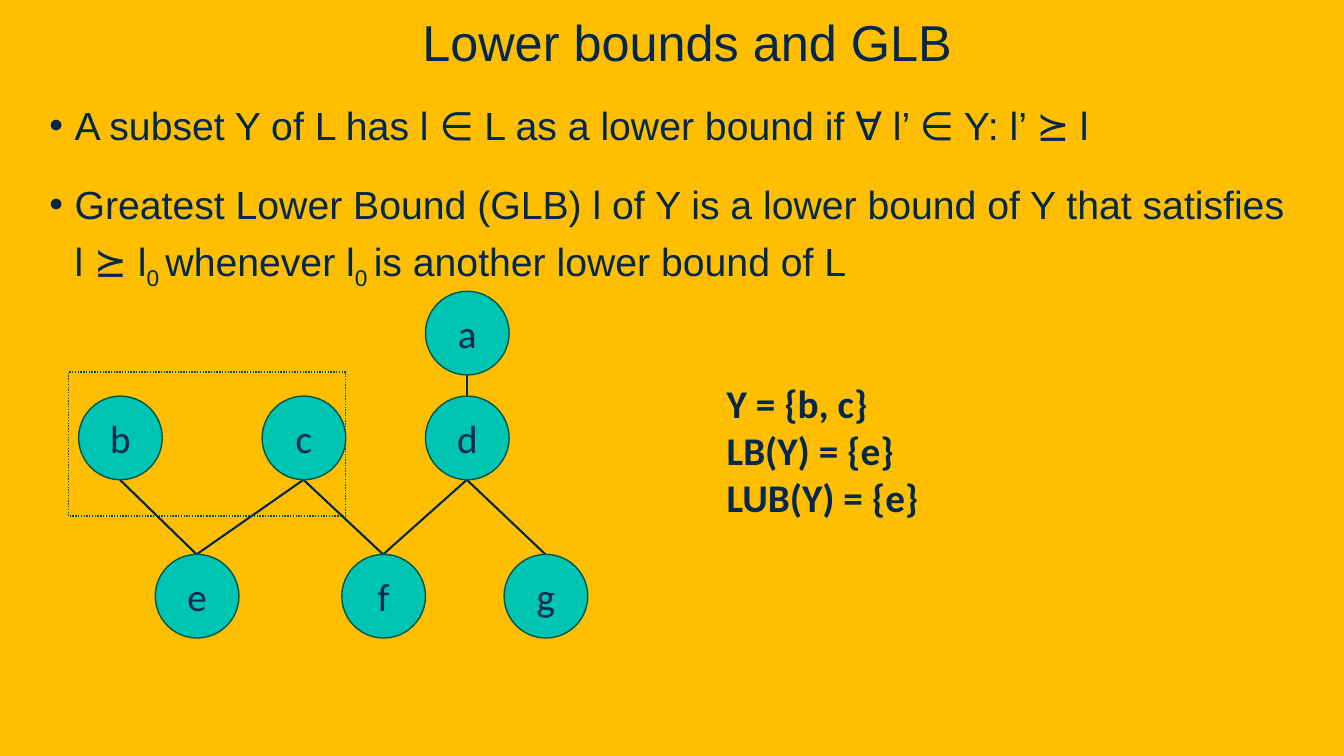
import pptx
import pptx.dml.color
import pptx.enum.dml
import pptx.enum.shapes
import pptx.enum.text
import pptx.oxml
import pptx.oxml.ns
import pptx.util

PX = 9144  # 100 px to the inch
INK, NODE, EDGE, BACKGROUND = "022850", "00C4B2", "00564E", "FFBE00"
ALIGN = pptx.enum.text.PP_ALIGN
ANCHOR = pptx.enum.text.MSO_ANCHOR
AUTO_SIZE = pptx.enum.text.MSO_AUTO_SIZE
SHAPE = pptx.enum.shapes.MSO_SHAPE


def px(length):
    return pptx.util.Emu(length * PX)


def color(value):
    return pptx.dml.color.RGBColor.from_string(value)


def apply(target, formats):
    for name, value in formats.items():
        setattr(target, name, value)


class SlideBuilder:
    def __init__(self, slide):
        self.slide = slide
        self.diagram = slide.shapes.add_group_shape()
        slide.background.fill.solid()
        slide.background.fill.fore_color.rgb = color(BACKGROUND)

    def style_run(self, run, size, font="Arial", bold=False):
        apply(run.font, {"name": font, "size": pptx.util.Pt(size), "bold": bold})
        run.font.color.rgb = color(INK)

    def placeholder(self, index, box, anchor):
        shape = self.slide.placeholders[index]
        apply(shape, dict(zip(("left", "top", "width", "height"), map(px, box))))
        apply(shape.text_frame, {"auto_size": AUTO_SIZE.NONE, "word_wrap": True,
                                 "vertical_anchor": anchor})
        return shape.text_frame

    def indent(self, paragraph, left, first):
        properties = paragraph._p.get_or_add_pPr()
        properties.set("marL", str(px(left)))
        properties.set("indent", str(px(first)))
        return properties

    def title(self, text, box):
        paragraph = self.placeholder(0, box, ANCHOR.BOTTOM).paragraphs[0]
        apply(paragraph, {"text": text, "alignment": ALIGN.CENTER,
                          "space_before": pptx.util.Pt(25)})
        self.indent(paragraph, 30, 0)
        self.style_run(paragraph.runs[0], 36)

    def bullets(self, items, box):
        """Each item is a list of pieces; every second piece is a subscript."""
        frame = self.placeholder(1, box, ANCHOR.TOP)
        for number, pieces in enumerate(items):
            paragraph = frame.add_paragraph() if number else frame.paragraphs[0]
            apply(paragraph, {"line_spacing": 1.2, "space_before": pptx.util.Pt(10),
                              "space_after": pptx.util.Pt(6)})
            properties = self.indent(paragraph, 25, -25)
            properties.append(pptx.oxml.parse_xml(
                f'<a:buChar {pptx.oxml.ns.nsdecls("a")} char="•"/>'))
            for position, piece in enumerate(pieces):
                run = paragraph.add_run()
                run.text = piece
                self.style_run(run, 28)
                if position % 2:
                    run._r.get_or_add_rPr().set("baseline", "-25000")

    def outline(self, shape):
        shape.shadow.inherit = False
        shape.line.color.rgb = color(EDGE)
        shape.line.width = pptx.util.Pt(1)

    def node(self, label, left, top, size):
        shape = self.diagram.shapes.add_shape(SHAPE.OVAL, *map(px, (left, top, size, size)))
        self.outline(shape)
        shape.fill.solid()
        shape.fill.fore_color.rgb = color(NODE)
        shape.text_frame.vertical_anchor = ANCHOR.MIDDLE
        paragraph = shape.text_frame.paragraphs[0]
        apply(paragraph, {"text": label, "alignment": ALIGN.CENTER})
        self.style_run(paragraph.runs[0], 28, "Calibri")

    def edge(self, *ends):
        line = self.diagram.shapes.add_connector(
            pptx.enum.shapes.MSO_CONNECTOR.STRAIGHT, *map(px, ends))
        line.line.color.rgb = color(INK)
        line.line.width = pptx.util.Pt(1.5)
        line._element.spPr.append(pptx.oxml.parse_xml(
            f'<a:effectLst {pptx.oxml.ns.nsdecls("a")}/>'))

    def dotted_frame(self, *box):
        shape = self.slide.shapes.add_shape(SHAPE.RECTANGLE, *map(px, box))
        self.outline(shape)
        shape.fill.background()
        shape.line.dash_style = pptx.enum.dml.MSO_LINE.ROUND_DOT

    def note(self, text, *box):
        frame = self.slide.shapes.add_textbox(*map(px, box)).text_frame
        apply(frame, {"word_wrap": False, "auto_size": AUTO_SIZE.SHAPE_TO_FIT_TEXT})
        paragraph = frame.paragraphs[0]
        paragraph.text = text
        for run in paragraph.runs:
            self.style_run(run, 28, "Calibri", True)


def main():
    presentation = pptx.Presentation()
    apply(presentation, {"slide_width": px(1333), "slide_height": px(750)})
    builder = SlideBuilder(presentation.slides.add_slide(presentation.slide_layouts[1]))

    # Title and definitions
    builder.title("Lower bounds and GLB", (0, 0, 1333, 76))
    builder.bullets([
        ["A subset Y of L has l ∈ L as a lower bound if ∀ l’ ∈ Y: l’ ⪰ l"],
        ["Greatest Lower Bound (GLB) l of Y is a lower bound of Y that satisfies l ⪰ l",
         "0 ", "whenever l", "0 ", "is another lower bound of L"],
    ], (39, 86, 1252, 571))

    # Hasse diagram: edges run from the bottom of a node to the top of a lower one
    size = 83
    nodes = {"a": (422, 289), "b": (78, 393), "c": (260, 393), "d": (422, 393),
             "e": (154, 550), "f": (339, 550), "g": (500, 550)}
    for upper, lower in ("ad", "be", "ce", "cf", "df", "dg"):
        (upper_left, upper_top), (lower_left, lower_top) = nodes[upper], nodes[lower]
        builder.edge(lower_left + size // 2, lower_top,
                     upper_left + size // 2, upper_top + size)
    for label, (left, top) in nodes.items():
        builder.node(label, left, top, size)

    # Subset Y and its bounds
    builder.dotted_frame(68, 369, 275, 143)
    builder.note("Y = {b, c}\vLB(Y) = {e}\vLUB(Y) = {e}", 711, 371, 214, 151)

    presentation.save("out.pptx")


if __name__ == "__main__":
    main()
